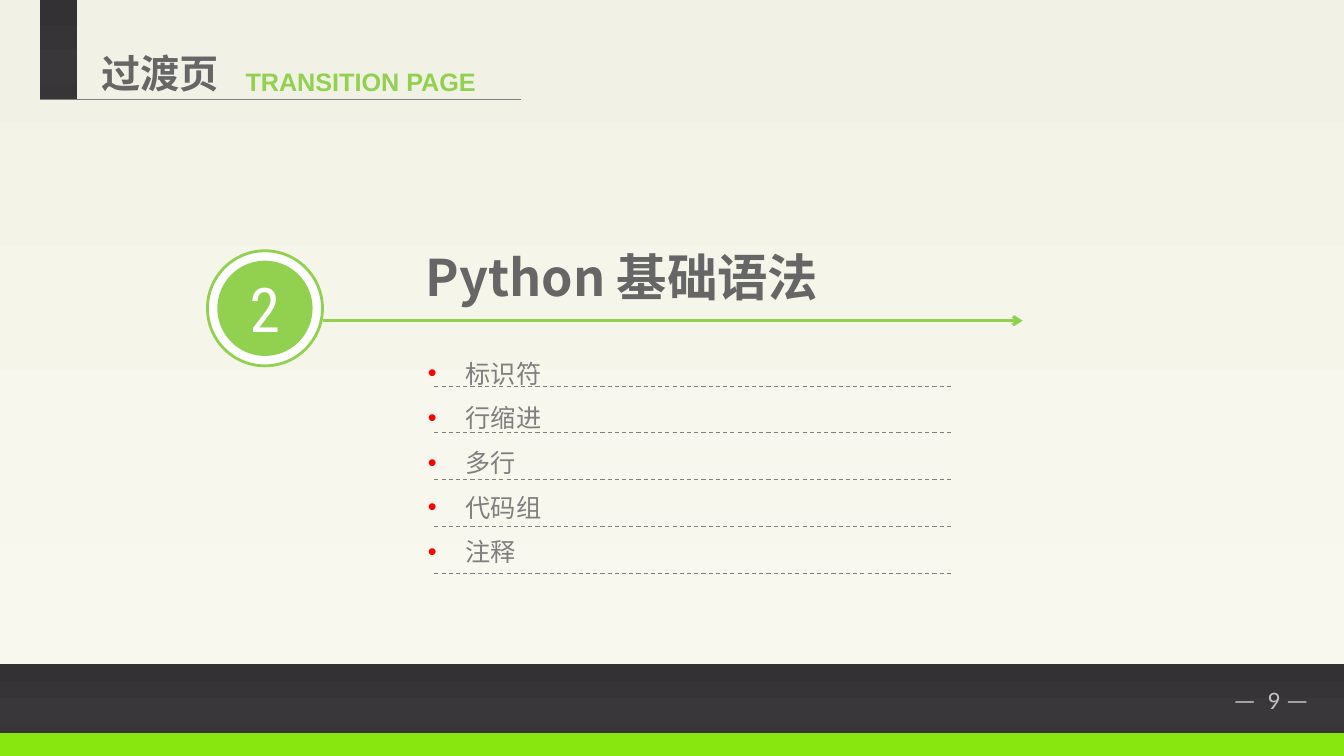
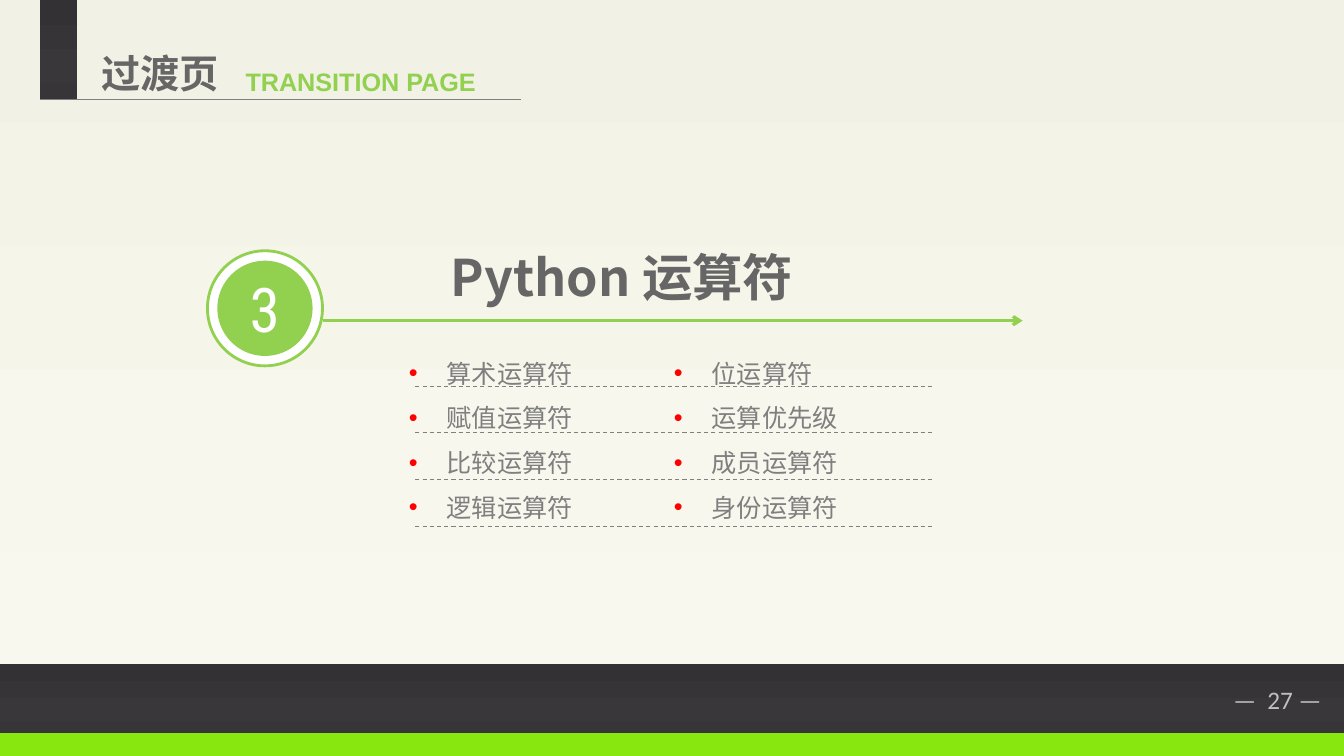
from dataclasses import dataclass

from lxml.etree import SubElement
from pptx import Presentation
from pptx.dml.color import RGBColor
from pptx.enum.dml import MSO_LINE
from pptx.enum.shapes import MSO_CONNECTOR as Connector, MSO_SHAPE as Preset
from pptx.enum.text import MSO_ANCHOR as Anchor, MSO_AUTO_SIZE as AutoSize, PP_ALIGN as Align
from pptx.oxml.ns import qn
from pptx.util import Cm, Pt


@dataclass(frozen=True)
class Theme:
    accent: str = "92D050"
    strip: str = "88E70F"
    white: str = "FFFFFF"
    title: str = "666666"
    body: str = "7F7F7F"
    rule: str = "808080"
    bullet: str = "FF0000"
    page_number: str = "BFBFBF"
    paper: tuple = ((0, "F1F1E5"), (74, "F7F7ED"), (83, "F8F8EE"), (100, "F9F9EF"))
    dark: tuple = ((0, "333134"), (74, "39373A"), (83, "373538"), (100, "363436"))
    chinese_font: str = "Noto Sans CJK SC"
    english_font: str = "Arial"
    badge_font: str = "Roboto Condensed"
    page_font: str = "Calibri"
    badge_size: int = 44
    section_size: int = 36
    heading_size: int = 28
    text_size: int = 18


@dataclass(frozen=True)
class Box:
    left: float
    top: float
    width: float
    height: float

    def area(self, left, top, width, height):
        return Box(self.left + left, self.top + top, width, height)

    def inset(self, margin):
        return self.area(margin, margin, self.width - 2 * margin, self.height - 2 * margin)

    def lengths(self):
        return Cm(self.left), Cm(self.top), Cm(self.width), Cm(self.height)


THEME = Theme()
PAGE = Box(0, 0, 33.88, 19.05)
BACKDROP = PAGE.area(0, 0, PAGE.width, 16.74)
FOOTER = PAGE.area(0, 16.74, PAGE.width, 2.31)
HEADER = PAGE.area(1, 0, 12.13, 2.51)
SECTION = PAGE.area(5.23, 6.07, 20.55, 3.15)
LIST_TOP = 8.74
ROW_PITCH = 1.18
COLUMN_PITCH = 6.68


def color(value):
    return RGBColor.from_string(value)


def add_filled(slide, preset, box, fill, line=None):
    shape = slide.shapes.add_shape(preset, *box.lengths())
    shape.shadow.inherit = False
    if isinstance(fill, str):
        shape.fill.solid()
        shape.fill.fore_color.rgb = color(fill)
    else:
        shape.fill.gradient()
        shape.fill.gradient_angle = 270
        stops = shape._element.spPr.find(qn("a:gradFill")).find(qn("a:gsLst"))
        stops.clear()
        for position, value in fill:
            stop = SubElement(stops, qn("a:gs"), pos=str(position * 1000))
            SubElement(stop, qn("a:srgbClr"), val=value)
    if line:
        shape.line.color.rgb = color(line)
        shape.line.width = Pt(2)
    else:
        shape.line.fill.background()
    return shape


def add_line(slide, left, right, y, value, width):
    line = slide.shapes.add_connector(Connector.STRAIGHT, Cm(left), Cm(y), Cm(right), Cm(y))
    line.line.color.rgb = color(value)
    line.line.width = Pt(width)
    SubElement(line._element.spPr, qn("a:effectLst"))
    return line


def add_run(paragraph, text, font, size, value, bold=False):
    run = paragraph.add_run()
    run.text = text
    run.font.name = font
    run.font.size = Pt(size)
    run.font.bold = bold
    run.font.color.rgb = color(value)
    SubElement(run._r.get_or_add_rPr(), qn("a:ea"), typeface=font)


def add_text_frame(slide, box):
    frame = slide.shapes.add_textbox(*box.lengths()).text_frame
    frame.word_wrap = True
    frame.auto_size = AutoSize.SHAPE_TO_FIT_TEXT
    return frame


def add_label(slide, box, text, font, size, value, bold=False, align=Align.LEFT):
    paragraph = add_text_frame(slide, box).paragraphs[0]
    paragraph.alignment = align
    add_run(paragraph, text, font, size, value, bold)


def add_footer(slide, box, number):
    add_filled(slide, Preset.RECTANGLE, box.area(0, 1.7, box.width, 0.61), THEME.strip)
    add_filled(slide, Preset.RECTANGLE, box.area(0, 0, box.width, 1.72), THEME.dark)
    add_label(slide, box.area(30.84, 0.38, 3.02, 1.02), f"—  {number} —",
              THEME.page_font, THEME.text_size, THEME.page_number)


def add_header(slide, box):
    add_filled(slide, Preset.RECTANGLE, box.area(0, 0, 0.94, box.height), THEME.dark)
    add_label(slide, box.area(1.31, 1.12, 4.04, 1.45), "过渡页",
              THEME.chinese_font, THEME.heading_size, THEME.title, True)
    add_label(slide, box.area(4.94, 1.55, 6.81, 1.02), "TRANSITION PAGE",
              THEME.english_font, THEME.text_size, THEME.accent, True)
    add_line(slide, box.left, box.left + box.width, box.top + box.height, THEME.body, 0.75)


def add_section_title(slide, box, number, title):
    ring = box.area(0, 0.25, 2.9, 2.9)
    add_filled(slide, Preset.OVAL, ring, THEME.white, THEME.accent)
    disc = add_filled(slide, Preset.OVAL, ring.inset(0.25), THEME.accent)
    disc.text_frame.vertical_anchor = Anchor.MIDDLE
    paragraph = disc.text_frame.paragraphs[0]
    paragraph.alignment = Align.CENTER
    add_run(paragraph, str(number), THEME.badge_font, THEME.badge_size, THEME.white)
    arrow = add_line(slide, ring.left + ring.width, box.left + box.width,
                     box.top + 2.01, THEME.accent, 2.25)
    SubElement(arrow._element.spPr.find(qn("a:ln")), qn("a:tailEnd"), type="arrow")
    add_label(slide, box.area(3.2, 0, 14.5, 1.8), title, THEME.chinese_font,
              THEME.section_size, THEME.title, True, Align.CENTER)


def add_bullets(slide, box, items):
    frame = add_text_frame(slide, box)
    for index, item in enumerate(items):
        paragraph = frame.add_paragraph() if index else frame.paragraphs[0]
        paragraph.line_spacing = 1.2
        paragraph.space_before = Pt(6)
        properties = paragraph._p.get_or_add_pPr()
        properties.set("marL", str(int(Cm(0.95))))
        properties.set("indent", str(-int(Cm(0.95))))
        bullet_color = SubElement(properties, qn("a:buClr"))
        SubElement(bullet_color, qn("a:srgbClr"), val=THEME.bullet)
        SubElement(properties, qn("a:buFont"), typeface=THEME.english_font)
        SubElement(properties, qn("a:buChar"), char="•")
        add_run(paragraph, item, THEME.chinese_font, THEME.text_size, THEME.body)


def add_topics(slide, box, columns):
    column_width = box.width if len(columns) == 1 else 7.8
    for index, items in enumerate(columns):
        add_bullets(slide, box.area(index * COLUMN_PITCH, 0, column_width, box.height), items)
    for row in range(max(map(len, columns))):
        rule = add_line(slide, box.left + 0.41, box.left + box.width,
                        box.top + 0.99 + row * ROW_PITCH, THEME.rule, 0.75)
        rule.line.dash_style = MSO_LINE.DASH


def add_transition_slide(presentation, page, number, title, list_left, columns):
    slide = presentation.slides.add_slide(presentation.slide_layouts[6])
    add_filled(slide, Preset.RECTANGLE, BACKDROP, THEME.paper)
    add_footer(slide, FOOTER, page)
    add_header(slide, HEADER)
    add_section_title(slide, SECTION, number, title)
    rows = max(map(len, columns))
    add_topics(slide, Box(list_left, LIST_TOP, 13.44, rows * ROW_PITCH), columns)


def main():
    presentation = Presentation()
    presentation.slide_width = Cm(PAGE.width)
    presentation.slide_height = Cm(PAGE.height)
    add_transition_slide(presentation, 9, 2, "Python 基础语法", 10.54,
                         [["标识符", "行缩进", "多行", "代码组", "注释"]])
    add_transition_slide(presentation, 27, 3, "Python 运算符", 10.06,
                         [["算术运算符", "赋值运算符", "比较运算符", "逻辑运算符"],
                          ["位运算符", "运算优先级", "成员运算符", "身份运算符"]])
    presentation.save("out.pptx")


if __name__ == "__main__":
    main()
